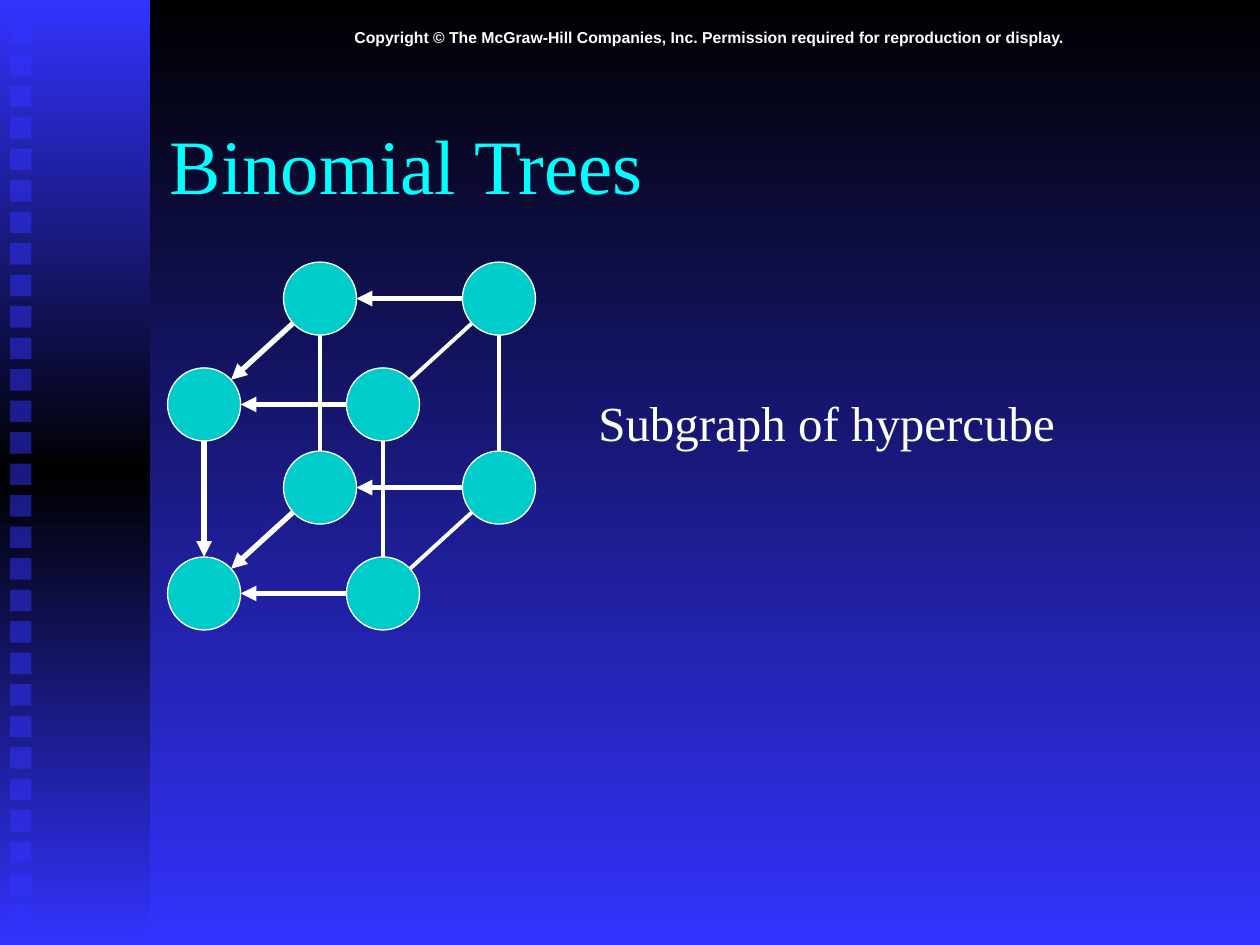
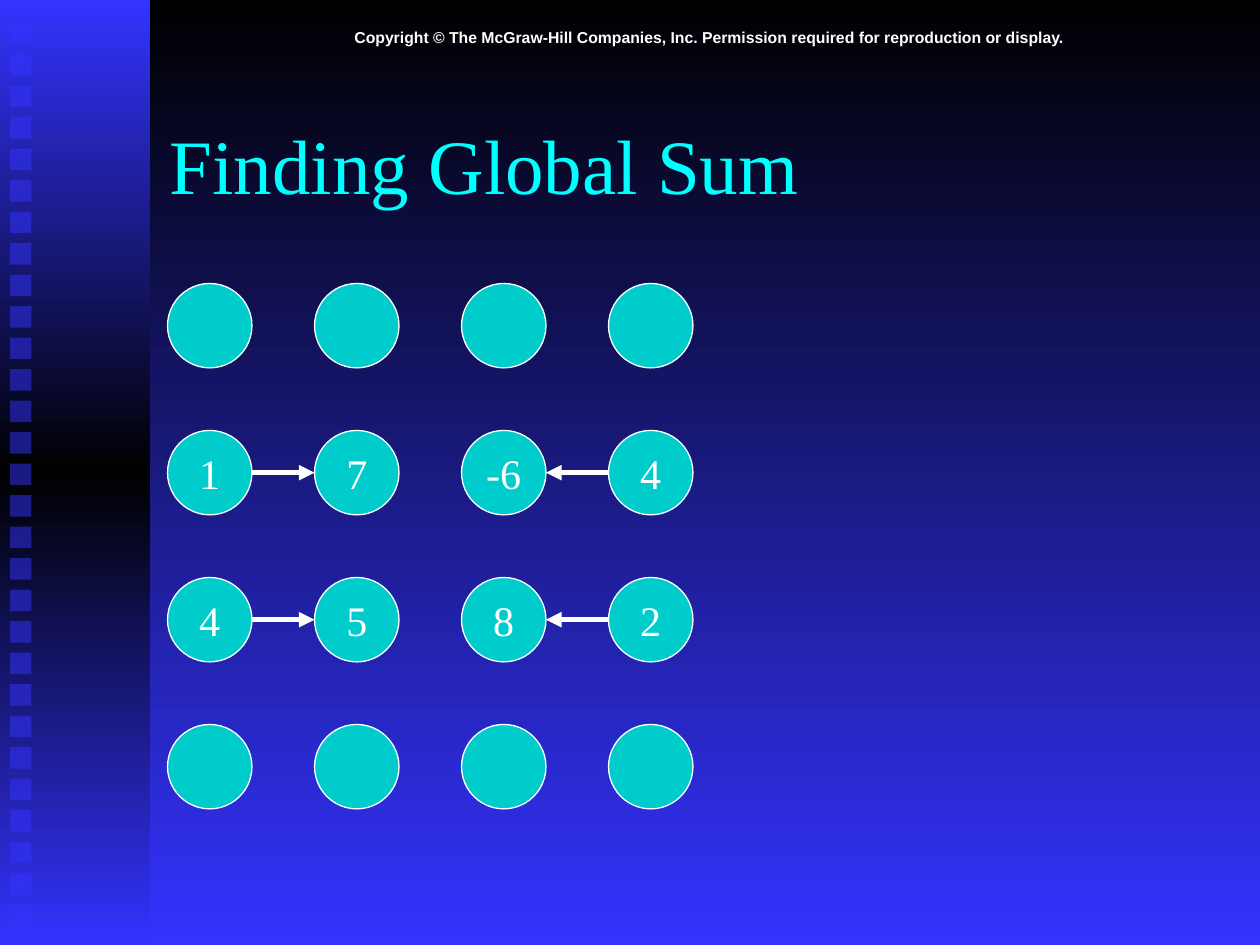
from copy import deepcopy
from math import hypot

from lxml.etree import SubElement
from pptx import Presentation
from pptx.dml.color import RGBColor
from pptx.enum.shapes import MSO_CONNECTOR, MSO_SHAPE
from pptx.enum.text import MSO_ANCHOR, PP_ALIGN
from pptx.oxml.ns import qn
from pptx.util import Inches, Pt

HUES = {
    "black": "000000",
    "blue": "3333FF",
    "teal": "00CCCC",
    "cyan": "00FFFF",
    "white": "FFFFFF",
}
SERIF, SANS = "Times New Roman", "Arial"
RIGHTS = ("Copyright © The McGraw-Hill Companies, Inc. "
          "Permission required for reproduction or display.")

TREE = "Binomial Trees"
NOTE = "Subgraph of hypercube"
CUBE = {
    "A": (1.33, 2.92), "B": (2.75, 2.92),
    "C": (2.25, 2.08), "D": (3.67, 2.08),
    "E": (1.33, 4.42), "F": (2.75, 4.42),
    "G": (2.25, 3.58), "H": (3.67, 3.58),
}
ARROWS = ["FE", "HG", "GE", "BA", "DC", "CA", "AE"]
PLAIN = ["CG", "BF", "DH", "DB", "HF"]

SUM = "Finding Global Sum"
GRID = [
    ["", "", "", ""],
    ["1", "7", "-6", "4"],
    ["4", "5", "8", "2"],
    ["", "", "", ""],
]
SENDS = [(row, *cols) for row in (1, 2) for cols in ((0, 1), (3, 2))]


def tint(name):
    return RGBColor.from_string(HUES[name])


def blend(fill, root, names):
    fill.gradient()
    fill.gradient_angle = 270
    stops = root.xpath(".//a:gsLst")[0]
    while len(stops) < len(names):
        stops.append(deepcopy(stops[0]))
    for i, (stop, name) in enumerate(zip(fill.gradient_stops, names)):
        stop.color.rgb = tint(name)
        stop.position = i / (len(names) - 1)


def write(frame, text, size, hue="white", font=SERIF, bold=False,
          align=PP_ALIGN.LEFT):
    para = frame.paragraphs[0]
    para.alignment = align
    run = para.add_run()
    run.text = text
    run.font.size = Pt(size)
    run.font.name = font
    run.font.bold = bold
    run.font.color.rgb = tint(hue)


def label(slide, box, text, size, wrap=True, anchor=MSO_ANCHOR.TOP, **style):
    frame = slide.shapes.add_textbox(*map(Inches, box)).text_frame
    frame.word_wrap = wrap
    frame.vertical_anchor = anchor
    write(frame, text, size, **style)


def block(slide, kind, box):
    shape = slide.shapes.add_shape(kind, *map(Inches, box))
    shape.shadow.inherit = False
    shape.line.fill.background()
    return shape


def node(slide, spot, size, text=""):
    disc = block(slide, MSO_SHAPE.OVAL, (*spot, size, size))
    disc.fill.solid()
    disc.fill.fore_color.rgb = tint("teal")
    disc.line.color.rgb = tint("white")
    disc.line.width = Pt(0.75)
    if text:
        frame = disc.text_frame
        frame.word_wrap = False
        frame.vertical_anchor = MSO_ANCHOR.MIDDLE
        write(frame, text, 24, align=PP_ALIGN.CENTER)


def edge(slide, start, end, size, width=3, head=True):
    rad = size / 2
    dx, dy = end[0] - start[0], end[1] - start[1]
    cut = rad / hypot(dx, dy)
    ends = [(start[0] + rad + dx * t, start[1] + rad + dy * t)
            for t in (cut, 1 - cut)]
    line = slide.shapes.add_connector(
        MSO_CONNECTOR.STRAIGHT, *(Inches(n) for end in ends for n in end))
    line.line.color.rgb = tint("white")
    line.line.width = Pt(width)
    if head:
        SubElement(line.line._get_or_add_ln(), qn("a:tailEnd"), type="triangle")
    SubElement(line.element.spPr, qn("a:effectLst"))


def base(deck, title):
    slide = deck.slides.add_slide(deck.slide_layouts[6])
    blend(slide.background.fill, slide.element, ["black", "blue"])
    band = block(slide, MSO_SHAPE.RECTANGLE, (0, 0, 1.19, 7.5))
    blend(band.fill, band.element, ["blue", "black", "blue"])
    for i in range(29):
        tile = block(slide, MSO_SHAPE.RECTANGLE,
                     (0.08, 0.18 + 0.25 * i, 0.17, 0.17))
        tile.fill.solid()
        tile.fill.fore_color.rgb = tint("blue")
        color = tile.element.xpath("./p:spPr/a:solidFill/a:srgbClr")[0]
        SubElement(color, qn("a:alpha"), val="50000")
    label(slide, (1.25, 0.17, 8.75, 0.25), RIGHTS, 9, font=SANS, bold=True,
          align=PP_ALIGN.CENTER)
    label(slide, (1.25, 0.67, 8.5, 1.25), title, 44, hue="cyan",
          anchor=MSO_ANCHOR.MIDDLE)
    return slide


def trees(deck):
    slide, size = base(deck, TREE), 0.58
    for spot in CUBE.values():
        node(slide, spot, size)
    for a, b in ARROWS:
        edge(slide, CUBE[a], CUBE[b], size)
    for a, b in PLAIN:
        edge(slide, CUBE[a], CUBE[b], size, 2.25, False)
    label(slide, (4.65, 3.07, 3.82, 0.57), NOTE, 28, wrap=False)


def total(deck):
    slide, size, step = base(deck, SUM), 0.67, 3.5 / 3

    def place(row, col):
        return 1.33 + step * col, 2.25 + step * row

    for row, cells in enumerate(GRID):
        for col, text in enumerate(cells):
            node(slide, place(row, col), size, text)
    for row, a, b in SENDS:
        edge(slide, place(row, a), place(row, b), size)


def main():
    deck = Presentation()
    deck.slide_width, deck.slide_height = Inches(10), Inches(7.5)
    trees(deck)
    total(deck)
    deck.save("out.pptx")


if __name__ == "__main__":
    main()
